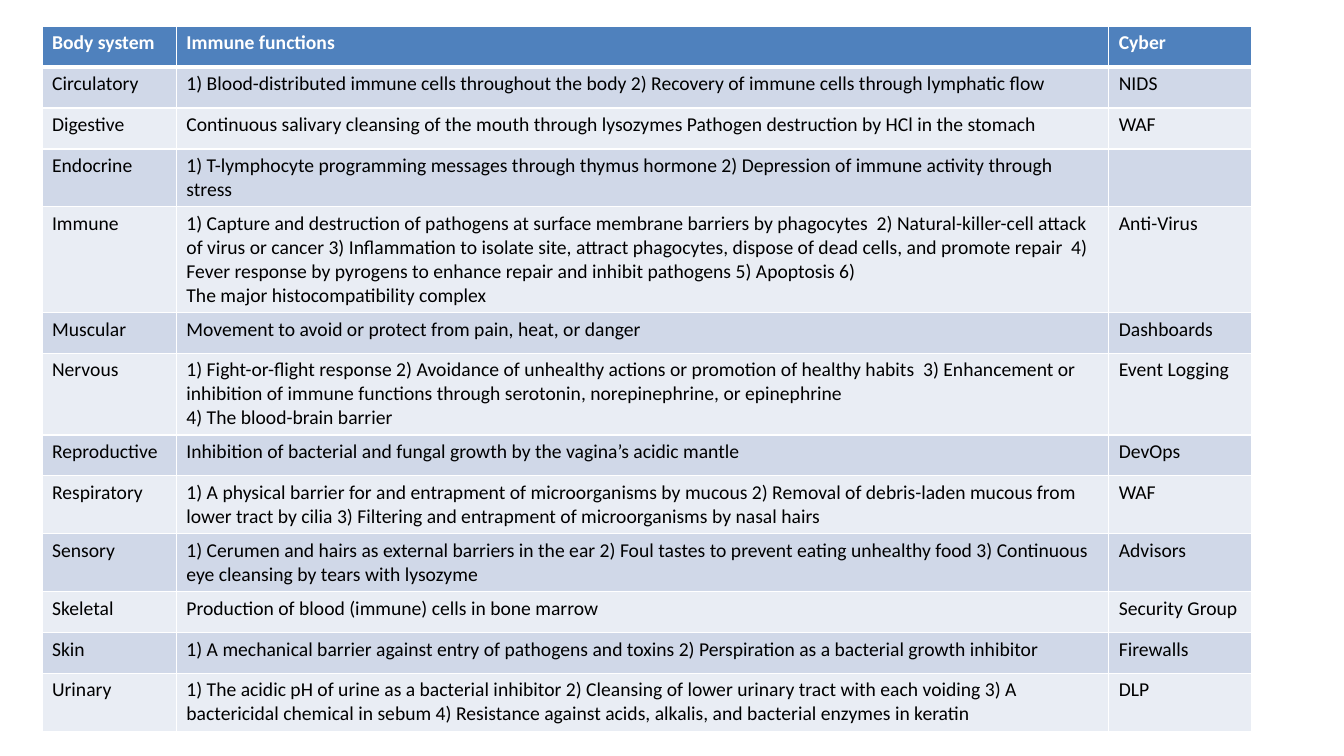
from lxml.etree import SubElement
from pptx import Presentation
from pptx.dml.color import RGBColor
from pptx.oxml.ns import qn
from pptx.util import Pt

EMU_PER_PX = 9525
SLIDE_SIZE = (1280, 720)
TABLE_BOX = (40, 25, 1152, 507)
COLUMN_WIDTHS = (128, 888, 136)
HEADER_FILL = "4F81BD"
BAND_FILLS = ("E9EDF4", "D0D8E8")
WHITE = "FFFFFF"
BLACK = "000000"

ROWS = [
    ("Body system", "Immune functions", "Cyber"),
    ("Circulatory",
     "1) Blood-distributed immune cells throughout the body "
     "2) Recovery of immune cells through lymphatic flow", "NIDS"),
    ("Digestive",
     "Continuous salivary cleansing of the mouth through lysozymes "
     "Pathogen destruction by HCl in the stomach", "WAF"),
    ("Endocrine",
     "1) T-lymphocyte programming messages through thymus hormone "
     "2) Depression of immune activity through stress", ""),
    ("Immune",
     "1) Capture and destruction of pathogens at surface membrane barriers by phagocytes  "
     "2) Natural-killer-cell attack of virus or cancer "
     "3) Inflammation to isolate site, attract phagocytes, dispose of dead cells, "
     "and promote repair  "
     "4) Fever response by pyrogens to enhance repair and inhibit pathogens "
     "5) Apoptosis 6)\nThe major histocompatibility complex", "Anti-Virus"),
    ("Muscular", "Movement to avoid or protect from pain, heat, or danger", "Dashboards"),
    ("Nervous",
     "1) Fight-or-flight response "
     "2) Avoidance of unhealthy actions or promotion of healthy habits  "
     "3) Enhancement or inhibition of immune functions through serotonin, "
     "norepinephrine, or epinephrine\n4) The blood-brain barrier", "Event Logging"),
    ("Reproductive",
     "Inhibition of bacterial and fungal growth by the vagina’s acidic mantle", "DevOps"),
    ("Respiratory",
     "1) A physical barrier for and entrapment of microorganisms by mucous "
     "2) Removal of debris-laden mucous from lower tract by cilia "
     "3) Filtering and entrapment of microorganisms by nasal hairs", "WAF"),
    ("Sensory",
     "1) Cerumen and hairs as external barriers in the ear "
     "2) Foul tastes to prevent eating unhealthy food "
     "3) Continuous eye cleansing by tears with lysozyme", "Advisors"),
    ("Skeletal", "Production of blood (immune) cells in bone marrow", "Security Group"),
    ("Skin",
     "1) A mechanical barrier against entry of pathogens and toxins "
     "2) Perspiration as a bacterial growth inhibitor", "Firewalls"),
    ("Urinary",
     "1) The acidic pH of urine as a bacterial inhibitor "
     "2) Cleansing of lower urinary tract with each voiding "
     "3) A bactericidal chemical in sebum "
     "4) Resistance against acids, alkalis, and bacterial enzymes in keratin", "DLP"),
]


def px(length):
    return length * EMU_PER_PX


def color(hex_string):
    return RGBColor.from_string(hex_string)


def set_borders(cell, top, bottom):
    properties = cell._tc.get_or_add_tcPr()
    for side, points in (("L", 1), ("R", 1), ("T", top), ("B", bottom)):
        line = SubElement(properties, qn(f"a:ln{side}"), w=str(Pt(points)))
        fill = SubElement(line, qn("a:solidFill"))
        SubElement(fill, qn("a:srgbClr"), val=WHITE)


def format_cell(cell, text, row):
    is_header = row == 0
    set_borders(cell, top=3 if row == 1 else 1, bottom=3 if is_header else 1)
    cell.fill.solid()
    cell.fill.fore_color.rgb = color(HEADER_FILL if is_header else BAND_FILLS[row % 2])
    cell.text_frame.text = text
    for para in cell.text_frame.paragraphs:
        for span in para.runs:
            span.font.name = "Calibri"
            span.font.size = Pt(14)
            span.font.bold = is_header
            span.font.color.rgb = color(WHITE if is_header else BLACK)


def add_immune_table(page, box):
    left, top, width, height = map(px, box)
    table = page.shapes.add_table(
        len(ROWS), len(COLUMN_WIDTHS), left, top, width, height).table
    for column, column_width in zip(table.columns, COLUMN_WIDTHS):
        column.width = px(column_width)
    for row, texts in enumerate(ROWS):
        for column, text in enumerate(texts):
            format_cell(table.cell(row, column), text, row)


def main():
    deck = Presentation()
    deck.slide_width, deck.slide_height = map(px, SLIDE_SIZE)
    page = deck.slides.add_slide(deck.slide_layouts[6])
    add_immune_table(page, TABLE_BOX)
    deck.save("out.pptx")


if __name__ == "__main__":
    main()
